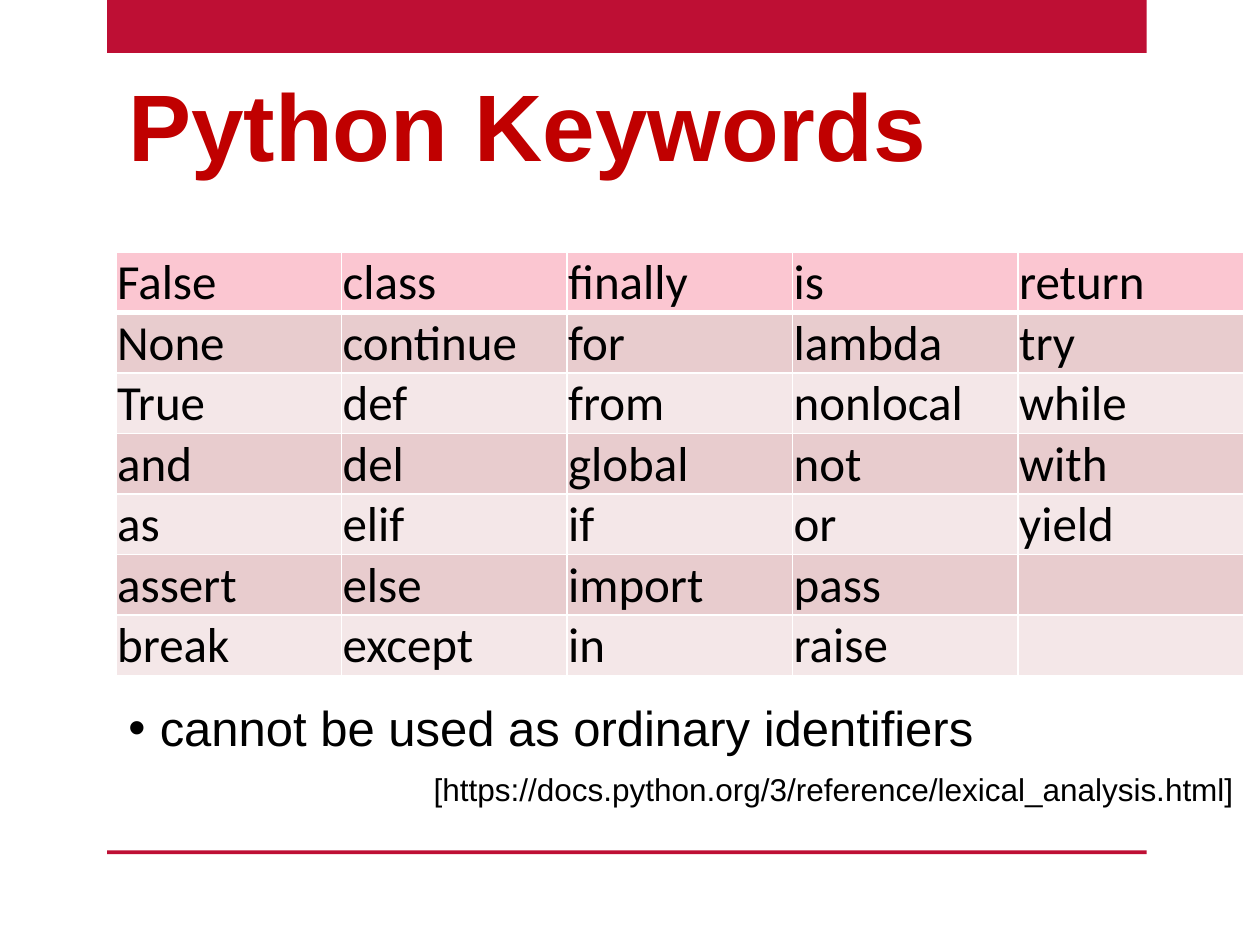
from lxml import etree
from pptx import Presentation
from pptx import util as u
from pptx.dml.color import RGBColor
from pptx.enum import shapes, text
from pptx.oxml.ns import qn

# Content
TITLE = "Python Keywords"
KEYWORDS = [
    ("False", "class", "finally", "is", "return"),
    ("None", "continue", "for", "lambda", "try"),
    ("True", "def", "from", "nonlocal", "while"),
    ("and", "del", "global", "not", "with"),
    ("as", "elif", "if", "or", "yield"),
    ("assert", "else", "import", "pass", ""),
    ("break", "except", "in", "raise", ""),
]
NOTE = "cannot be used as ordinary identifiers"
REFERENCE = "[https://docs.python.org/3/reference/lexical_analysis.html]"

# Look
COLORS = {"band": "BE0F34", "title": "C00000", "text": "000000", "border": "FFFFFF",
          "header": "FBC6D1", "odd": "E8CCCE", "even": "F4E7E8"}
TITLE_FONT = {"name": "Arial", "size": u.Pt(54), "bold": True}
CELL_FONT = {"name": "Calibri", "size": u.Pt(28), "bold": False}
NOTE_FONT = {"name": "Arial", "size": u.Pt(28)}
REFERENCE_FONT = {"name": "Arial", "size": u.Pt(18)}
CELL_FORMAT = {"margin_left": u.Inches(0.01), "margin_right": u.Inches(0.01),
               "margin_top": u.Inches(0.01), "margin_bottom": 0,
               "vertical_anchor": text.MSO_ANCHOR.BOTTOM}

# Layout, in inches
LEFT = 0.92
BANDS = [(0.85, 0, 8.25, 0.42), (0.85, 6.75, 8.25, 0.03)]
TABLE_TOP, COLUMN_WIDTH, ROW_HEIGHT = 2, 1.79, 0.48


def color(name):
    return RGBColor.from_string(COLORS[name])


def apply(target, values):
    for name, value in values.items():
        setattr(target, name, value)


def write(para, words, font, color_name):
    span = para.add_run()
    span.text = words
    apply(span.font, font)
    span.font.color.rgb = color(color_name)


def add_box(page, *place):
    frame = page.shapes.add_textbox(*map(u.Inches, place)).text_frame
    frame.word_wrap = True
    return frame


def add_border(cell, side, points):
    line = etree.SubElement(cell._tc.get_or_add_tcPr(), qn(f"a:ln{side}"), w=str(u.Pt(points)))
    fill = etree.SubElement(line, qn("a:solidFill"))
    etree.SubElement(fill, qn("a:srgbClr"), val=COLORS["border"])


deck = Presentation()
deck.slide_width, deck.slide_height = u.Inches(10), u.Inches(7.5)
page = deck.slides.add_slide(deck.slide_layouts[6])

# Bands at the top and bottom
for place in BANDS:
    band = page.shapes.add_shape(shapes.MSO_SHAPE.RECTANGLE, *map(u.Inches, place))
    band.shadow.inherit = False
    band.fill.solid()
    band.fill.fore_color.rgb = color("band")
    band.line.fill.background()

# Title
title = add_box(page, LEFT, 0.4, 11.5, 1.45)
title.margin_top = u.Inches(0.13)
write(title.paragraphs[0], TITLE, TITLE_FONT, "title")

# Keyword table
rows, columns = len(KEYWORDS), len(KEYWORDS[0])
size = (columns * COLUMN_WIDTH, rows * ROW_HEIGHT)
table = page.shapes.add_table(rows, columns, *map(u.Inches, (LEFT, TABLE_TOP, *size))).table
table.first_row = table.horz_banding = False
for column in table.columns:
    column.width = u.Inches(COLUMN_WIDTH)
for r, words in enumerate(KEYWORDS):
    table.rows[r].height = u.Inches(ROW_HEIGHT)
    shade = "header" if r == 0 else "odd" if r % 2 else "even"
    for c, word in enumerate(words):
        cell = table.cell(r, c)
        apply(cell, CELL_FORMAT)
        for side in "LRTB":
            add_border(cell, side, 3 if r == 0 and side == "B" else 1)
        cell.fill.solid()
        cell.fill.fore_color.rgb = color(shade)
        if word:
            write(cell.text_frame.paragraphs[0], word, CELL_FONT, "text")

# Bulleted note and its reference
body = add_box(page, LEFT, 5.54, 8.97, 1.22)
note, reference = body.paragraphs[0], body.add_paragraph()
note.line_spacing = reference.line_spacing = 0.9
settings = note._p.get_or_add_pPr()
settings.set("marL", str(u.Inches(0.25)))
settings.set("indent", str(-u.Inches(0.25)))
etree.SubElement(settings, qn("a:buFont"), typeface="Arial")
etree.SubElement(settings, qn("a:buChar"), char="•")
write(note, NOTE, NOTE_FONT, "text")
reference.space_before = u.Pt(10)
reference.alignment = text.PP_ALIGN.RIGHT
write(reference, REFERENCE, REFERENCE_FONT, "text")

deck.save("out.pptx")
